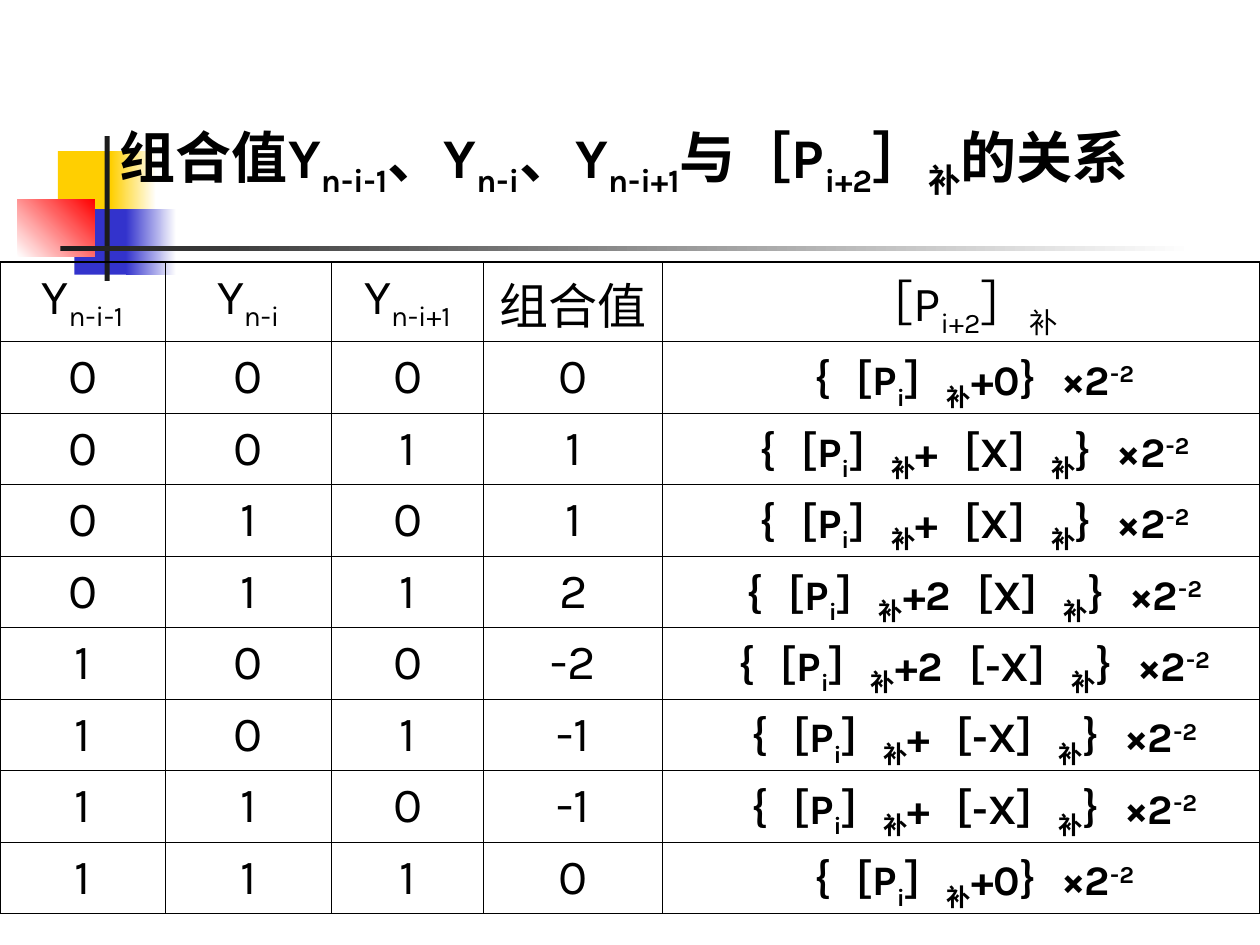
from pptx import Presentation, util as u
from pptx.dml.color import RGBColor
from pptx.enum import shapes, text
from pptx.oxml.ns import qn
from lxml import etree

BLACK = RGBColor(0, 0, 0)
WHITE = RGBColor(255, 255, 255)
DARK = RGBColor(0x1C, 0x1C, 0x1C)
GOLD = RGBColor(0xFF, 0xCF, 0x01)
BLUE = RGBColor(0x33, 0x33, 0xCC)
RED = RGBColor(255, 0, 0)
FONT = "Karla"
BASE = {"_": "-25000", "^": "30000"}

TITLE = "组合值Y|_n-i-1|、Y|_n-i|、Y|_n-i+1|与［P|_i+2|］|_补|的关系 "
HEADS = ["Y|_n-i-1", "Y|_n-i", "Y|_n-i+1", "组合值", "［P|_i+2|］|_补"]
TERMS = {"0": "+0", "1": "+［X］|_补|", "2": "+2［X］|_补|",
         "-2": "+2［-X］|_补|", "-1": "+［-X］|_补|"}
VALUES = ["0", "1", "1", "2", "-2", "-1", "-1", "0"]
COLS = [1.31, 1.32, 1.21, 1.42, 4.74]
HIGH, HEAD = 5.17, 0.63
ROWS = [HEAD] + [(HIGH - HEAD) / len(VALUES)] * len(VALUES)
THIN, THICK = 0.45, 1.08


def write(para, marked, size, bold=False):
    """Write centred text whose parts, split by bars, may be sub- or superscript."""
    para.alignment = text.PP_ALIGN.CENTER
    for part in marked.split("|"):
        run = para.add_run()
        run.text = part.lstrip("_^")
        font = run.font
        font.name, font.size, font.bold = FONT, u.Pt(size), bold
        font.color.rgb = BLACK
        if part[0] in BASE:
            run._r.get_or_add_rPr().set("baseline", BASE[part[0]])


def block(slide, box, start, end=None, angle=0):
    """Draw a plain or gradient rectangle without an outline."""
    rect = slide.shapes.add_shape(shapes.MSO_SHAPE.RECTANGLE, *map(u.Inches, box))
    rect.shadow.inherit = False
    rect.line.fill.background()
    if end is None:
        rect.fill.solid()
        rect.fill.fore_color.rgb = start
        return
    rect.fill.gradient()
    rect.fill.gradient_angle = angle
    for stop, color in zip(rect.fill.gradient_stops, (start, end)):
        stop.color.rgb = color


def motif(slide, x, y):
    """Draw the coloured squares and the crossing bars."""
    block(slide, (x + 0.32, y + 0.12, 0.48, 0.52), GOLD)
    block(slide, (x + 0.74, y + 0.12, 0.36, 0.52), GOLD, WHITE)
    block(slide, (x + 0.45, y + 0.58, 0.46, 0.52), BLUE)
    block(slide, (x + 0.86, y + 0.58, 0.4, 0.52), BLUE, WHITE)
    block(slide, (x, y + 0.5, 0.61, 0.46), WHITE, RED, 45)
    block(slide, (x + 0.69, y, 0.04, 1.15), DARK)
    block(slide, (x + 0.34, y + 0.87, 9, 0.04), DARK, WHITE)


def border(cell, widths):
    """Give the left, right, top and bottom edges of a cell their widths."""
    props = cell._tc.get_or_add_tcPr()
    for side, width in zip("LRTB", widths):
        line = etree.SubElement(props, qn("a:ln" + side), w=str(u.Pt(width)))
        fill = etree.SubElement(line, qn("a:solidFill"))
        etree.SubElement(fill, qn("a:srgbClr"), val=str(BLACK))


def grid(slide, x, y):
    """Place the table of bit patterns, values and partial products."""
    rows = [HEADS]
    for num, value in enumerate(VALUES):
        rows.append([*f"{num:03b}", value, f"｛［P|_i|］|_补|{TERMS[value]}｝×2|^-2"])
    frame = slide.shapes.add_table(len(ROWS), len(COLS), u.Inches(x), u.Inches(y),
                                   u.Inches(sum(COLS)), u.Inches(HIGH))
    table = frame.table
    table.first_row = table.horz_banding = False
    for col, width in zip(table.columns, COLS):
        col.width = u.Inches(width)
    for row, height in zip(table.rows, ROWS):
        row.height = u.Inches(height)
    end, last = len(ROWS) - 1, len(COLS) - 1
    for i, row in enumerate(rows):
        for j, marked in enumerate(row):
            cell = table.cell(i, j)
            outer = (j == 0, j == last, i == 0, i == end)
            border(cell, [THICK if edge else THIN for edge in outer])
            cell.fill.background()
            cell.vertical_anchor = text.MSO_ANCHOR.MIDDLE
            if j == last or marked == "组合值":
                cell.margin_top = u.Inches(0.04 if i else 0.02)
                cell.margin_bottom = 0
            bold = i > 0 and j == last
            write(cell.text_frame.paragraphs[0], marked, 24 if bold else 28, bold)


def title(slide, box):
    """Place the heading with its hanging indent."""
    frame = slide.shapes.add_textbox(*map(u.Inches, box)).text_frame
    frame.word_wrap = True
    para = frame.paragraphs[0]
    props = para._p.get_or_add_pPr()
    props.set("marL", str(u.Inches(0.38)))
    props.set("indent", str(u.Inches(-0.38)))
    write(para, TITLE, 32, True)


def main():
    """Build and save the slide."""
    deck = Presentation()
    deck.slide_width, deck.slide_height = u.Inches(10), u.Inches(7.5)
    slide = deck.slides.add_slide(deck.slide_layouts[6])
    motif(slide, 0.14, 1.08)
    grid(slide, 0, 2.08)
    title(slide, (0.42, 0.92, 9.17, 0.72))
    deck.save("out.pptx")


if __name__ == "__main__":
    main()
